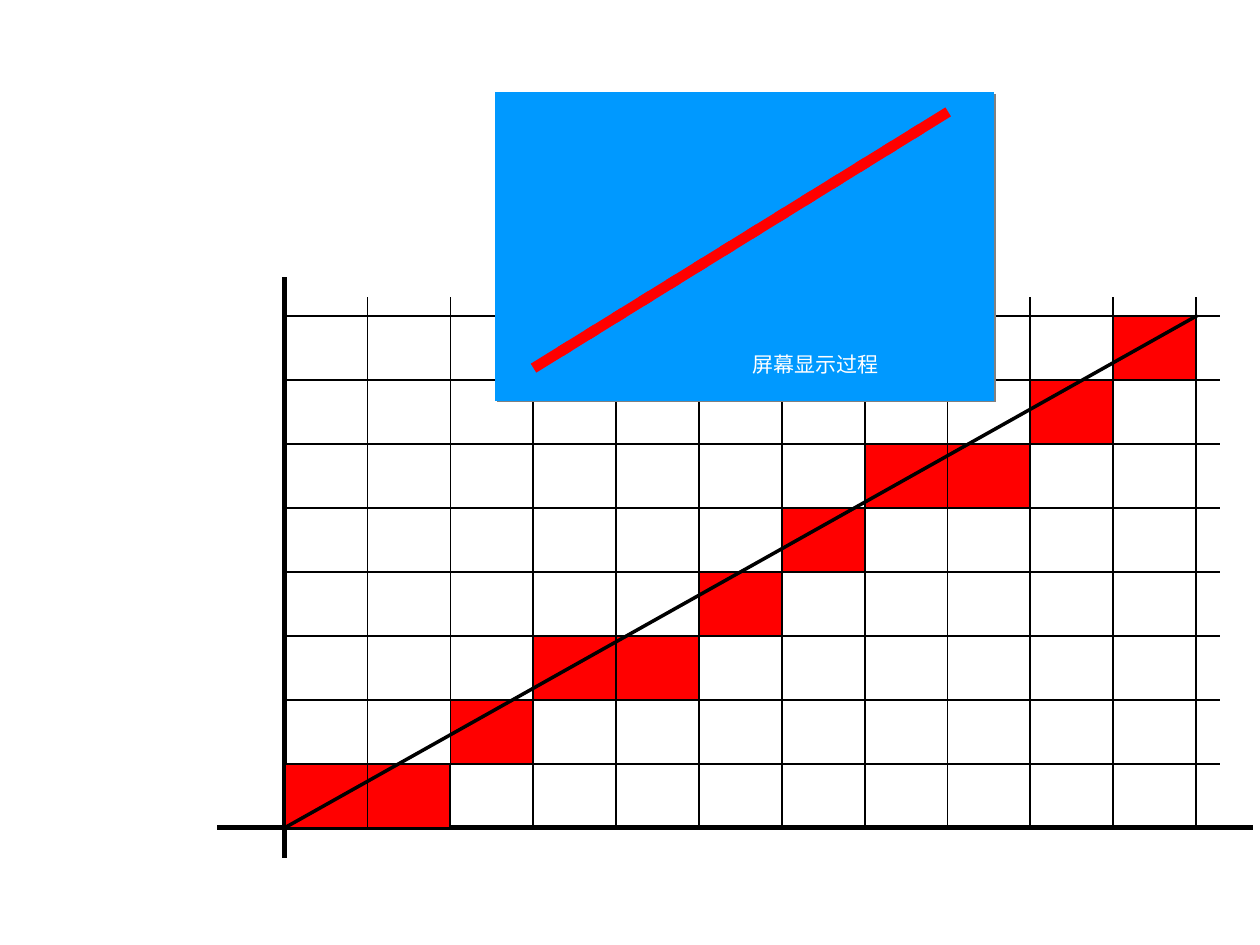
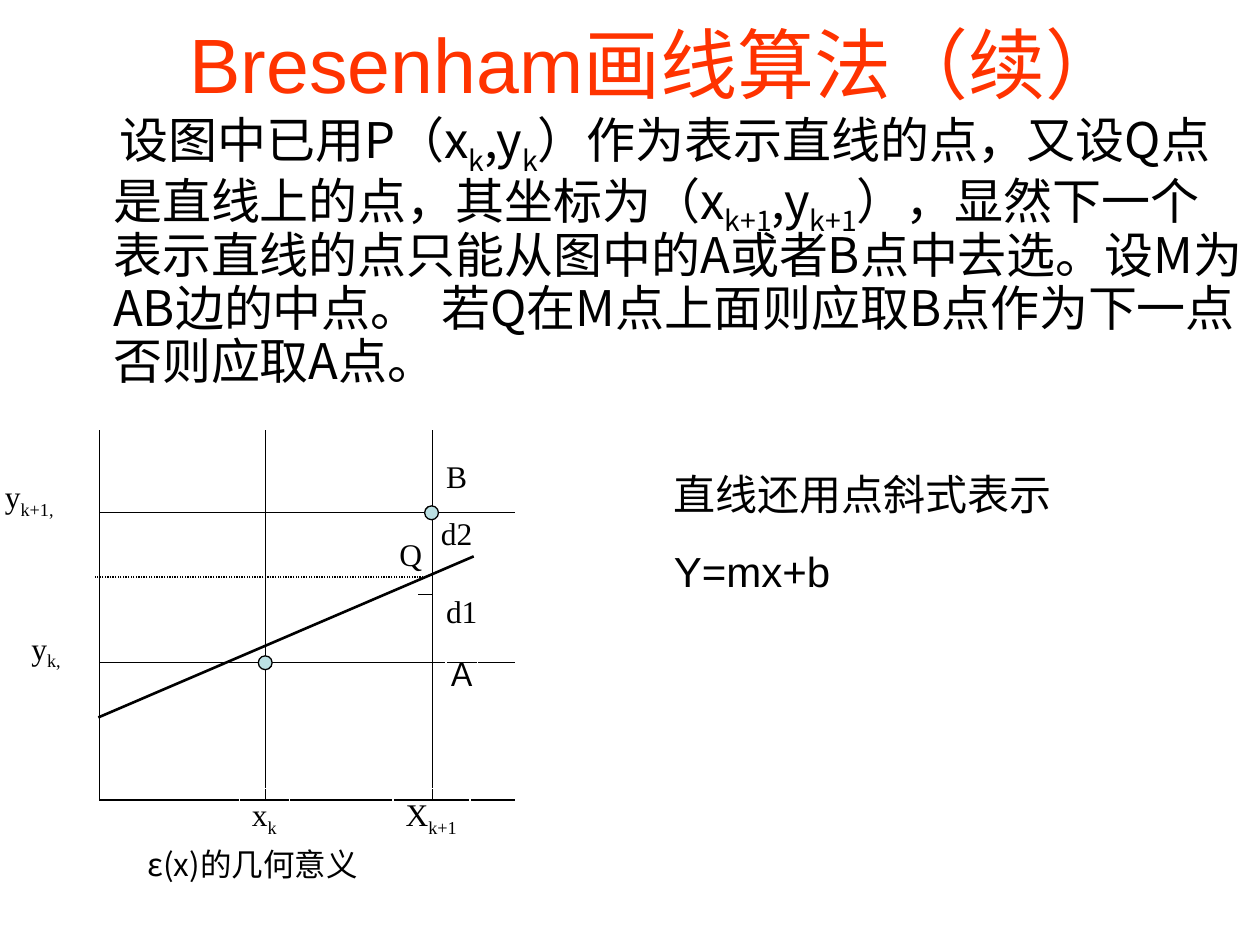
from dataclasses import dataclass
from typing import NamedTuple

from lxml.etree import SubElement
from pptx import Presentation
from pptx.dml.color import RGBColor
from pptx.enum.dml import MSO_LINE
from pptx.enum.shapes import MSO_CONNECTOR, MSO_SHAPE
from pptx.enum.text import MSO_ANCHOR, MSO_AUTO_SIZE, PP_ALIGN
from pptx.oxml.ns import qn
from pptx.util import Inches, Pt


@dataclass(frozen=True)
class Theme:
    black: str = "000000"
    white: str = "FFFFFF"
    red: str = "FF0000"
    title: str = "FF3300"
    screen: str = "0099FF"
    shadow: str = "808080"
    dot: str = "BBE0E3"
    sans: str = "Arial"
    serif: str = "Times New Roman"
    cjk: str = "Noto Sans CJK SC"
    title_size: int = 44
    body_size: int = 28
    formula_size: int = 24
    label_size: int = 18
    caption_size: int = 12
    hairline: float = 0.75
    rule: float = 1
    diagonal: float = 2
    axis: float = 3
    stroke: float = 6


class Point(NamedTuple):
    x: float
    y: float


class Box(NamedTuple):
    left: float
    top: float
    width: float
    height: float


class Label(NamedTuple):
    text: str
    box: Box
    margins: tuple = (0, 0)


@dataclass(frozen=True)
class Lattice:
    origin: Point
    col: float
    row: float

    def at(self, col: float, row: float) -> Point:
        return Point(self.origin.x + col * self.col, self.origin.y - row * self.row)

    def cell(self, col: int, row: int) -> Box:
        return Box(*self.at(col, row + 1), self.col, self.row)


T = Theme()
COLUMNS, ROWS = 40, 30
UNIT = Inches(10) // COLUMNS
PADDED = (0.4, 0.2)

PIXELS = Lattice(Point(9.04, 26.28), 2.63, 2.03)
LIT_ROWS = (0, 0, 1, 2, 2, 3, 4, 5, 5, 6, 7)
SEGMENTS = 15

X0, XK, XK1, X_END = 3.16, 8.44, 13.72, 16.32
Y_TOP, YK1, YK, Y0 = 13.68, 16.28, 21.04, 25.4

LABELS = (
    Label("x|k", Box(7.6, 25.04, 1.6, 1.76), PADDED),
    Label("X|k+1", Box(12.48, 25.04, 2.44, 1.76), PADDED),
    Label("y|k,", Box(0.6, 19.76, 2, 1.76), PADDED),
    Label("y|k+1,", Box(-0.24, 14.96, 2.5, 1.76), PADDED),
    Label("Ａ", Box(14.16, 20.8, 1, 1.2)),
    Label("B", Box(14.16, 14.52, 0.68, 1.2)),
    Label("Q", Box(12.68, 17, 0.72, 1.2)),
    Label("d1", Box(14.16, 18.8, 1, 1.2)),
    Label("d2", Box(14, 16.32, 1, 1.2)),
)

BODY = (
    "设图中已用P（x|k|,y|k|）作为表示直线的点，又设Q点是直线上的点，其坐标为（x|k+1|,y|k+1|"
    "），显然下一个表示直线的点只能从图中的A或者B点中去选。设M为AB边的中点。  "
    "若Q在M点上面则应取B点作为下一点否则应取A点。"
)


def emu(*lengths: float) -> list[int]:
    return [round(length * UNIT) for length in lengths]


def rgb(color: str) -> RGBColor:
    return RGBColor.from_string(color)


def add_line(s, start: Point, end: Point, *, color: str = T.black,
             width: float = T.hairline, dash=None):
    ln = s.shapes.add_connector(MSO_CONNECTOR.STRAIGHT, *emu(*start, *end))
    ln.line.color.rgb = rgb(color)
    ln.line.width = Pt(width)
    if dash:
        ln.line.dash_style = dash
    else:
        ln._element.spPr.find(qn("a:ln")).set("cap", "sq")
    SubElement(ln._element.spPr, qn("a:effectLst"))
    return ln


def add_block(s, box: Box, *, fill: str, line: str = T.black,
              width: float = T.rule, kind=MSO_SHAPE.RECTANGLE):
    sp = s.shapes.add_shape(kind, *emu(*box))
    sp.shadow.inherit = False
    sp.fill.solid()
    sp.fill.fore_color.rgb = rgb(fill)
    sp.line.color.rgb = rgb(line)
    sp.line.width = Pt(width)
    SubElement(sp._element.spPr.find(qn("a:ln")), qn("a:miter"), lim="800000")
    return sp


def add_text(s, text: str, box: Box, *, size: int, font: str, color: str = T.black,
             align=PP_ALIGN.LEFT, anchor=MSO_ANCHOR.TOP, wrap: bool = True,
             grow: bool = False, margins: tuple = PADDED, before: float = 0,
             spacing: float = 1, margin_left: float = 0, indent: float = 0,
             border: str | None = None):
    sp = s.shapes.add_textbox(*emu(*box))
    if border:
        sp.line.color.rgb = rgb(border)
        sp.line.width = Pt(T.hairline)
    tf = sp.text_frame
    tf.word_wrap = wrap
    tf.auto_size = MSO_AUTO_SIZE.SHAPE_TO_FIT_TEXT if grow else MSO_AUTO_SIZE.NONE
    tf.vertical_anchor = anchor
    tf.margin_left = tf.margin_right = emu(margins[0])[0]
    tf.margin_top = tf.margin_bottom = emu(margins[1])[0]
    for i, line in enumerate(text.split("\n")):
        p = tf.add_paragraph() if i else tf.paragraphs[0]
        p.alignment = align
        p.space_before = Pt(before)
        p.line_spacing = spacing
        pPr = p._p.get_or_add_pPr()
        pPr.set("marL", str(emu(margin_left)[0]))
        pPr.set("indent", str(emu(indent)[0]))
        for j, part in enumerate(line.split("|")):
            r = p.add_run()
            r.text = part
            r.font.size = Pt(size)
            r.font.name = font
            r.font.color.rgb = rgb(color)
            rPr = r._r.get_or_add_rPr()
            SubElement(rPr, qn("a:ea"), typeface=T.cjk)
            if j % 2:
                rPr.set("baseline", "-25000")
    return sp


def drop_shadow(sp, color: str) -> None:
    effects = sp._element.spPr.find(qn("a:effectLst"))
    shadow = SubElement(effects, qn("a:outerShdw"), dist=str(Pt(1.4)),
                        dir="2700000", algn="ctr", rotWithShape="0")
    SubElement(shadow, qn("a:srgbClr"), val=color)


def pixel_slide(s) -> None:
    right, top = len(LIT_ROWS), max(LIT_ROWS) + 1
    for row in range(1, top + 1):
        add_line(s, PIXELS.at(0, row), PIXELS.at(right + 0.28, row), width=T.rule)
    for col in range(1, right + 1):
        add_line(s, PIXELS.at(col, 0), PIXELS.at(col, top + 0.29), width=T.rule)
    add_line(s, PIXELS.at(-0.78, 0), PIXELS.at(right + 0.65, 0), width=T.axis)
    add_line(s, PIXELS.at(0, -0.43), PIXELS.at(0, top + 0.57), width=T.axis)
    for col, row in enumerate(LIT_ROWS):
        add_block(s, PIXELS.cell(col, row), fill=T.red)

    screen = add_block(s, Box(15.8, 3, 15.68, 9.64), fill=T.screen,
                       line=T.screen, width=T.axis)
    drop_shadow(screen, T.shadow)
    add_text(s, "屏幕显示过程", Box(19.88, 10.96, 12, 1.2), size=T.caption_size,
             font=T.serif, color=T.white, align=PP_ALIGN.CENTER, before=7.5, grow=True)
    trace = Lattice(Point(17.08, 11.6), 12.88 / SEGMENTS, 7.96 / SEGMENTS)
    for i in range(SEGMENTS):
        add_line(s, trace.at(i, i), trace.at(i + 1, i + 1), color=T.red, width=T.stroke)
    add_line(s, PIXELS.at(0, 0), PIXELS.at(right, top), width=T.diagonal)


def midpoint_slide(s) -> None:
    add_text(s, "Bresenham画线算法（续）", Box(5, 0, 31.68, 4), size=T.title_size,
             font=T.sans, color=T.title, align=PP_ALIGN.CENTER, anchor=MSO_ANCHOR.MIDDLE)
    add_text(s, BODY, Box(1.68, 3.32, 38.32, 9.68), size=T.body_size, font=T.cjk,
             spacing=0.9, margin_left=1.52, indent=0.2)
    add_text(s, "ε(x)的几何意义", Box(4.28, 26.64, 8.44, 1.6), size=T.label_size,
             font=T.cjk, wrap=False, grow=True, border=T.white)

    for x in (X0, XK, XK1):
        add_line(s, Point(x, Y_TOP), Point(x, Y0))
    for y in (YK1, YK, Y0):
        add_line(s, Point(X0, y), Point(X_END, y))
    add_line(s, Point(X0, 22.76), Point(15, 17.68), width=1.5)
    add_line(s, Point(13.52, 18.32), Point(3, 18.32), dash=MSO_LINE.ROUND_DOT)
    for label in LABELS:
        add_text(s, label.text, label.box, size=T.label_size, font=T.serif,
                 wrap=False, grow=True, margins=label.margins, border=T.white)
    add_line(s, Point(XK1, 18.88), Point(13.28, 18.88))
    for x, y in ((XK, YK), (XK1, YK1)):
        add_block(s, Box(x - 0.24, y - 0.22, 0.44, 0.44), fill=T.dot,
                  width=T.hairline, kind=MSO_SHAPE.OVAL)

    add_text(s, "直线还用点斜式表示\nY=mx+b", Box(21, 14.68, 19, 4.44),
             size=T.formula_size, font=T.sans, before=15, grow=True)


def main() -> None:
    prs = Presentation()
    prs.slide_width, prs.slide_height = emu(COLUMNS, ROWS)
    for draw in (pixel_slide, midpoint_slide):
        draw(prs.slides.add_slide(prs.slide_layouts[6]))
    prs.save("out.pptx")


if __name__ == "__main__":
    main()
